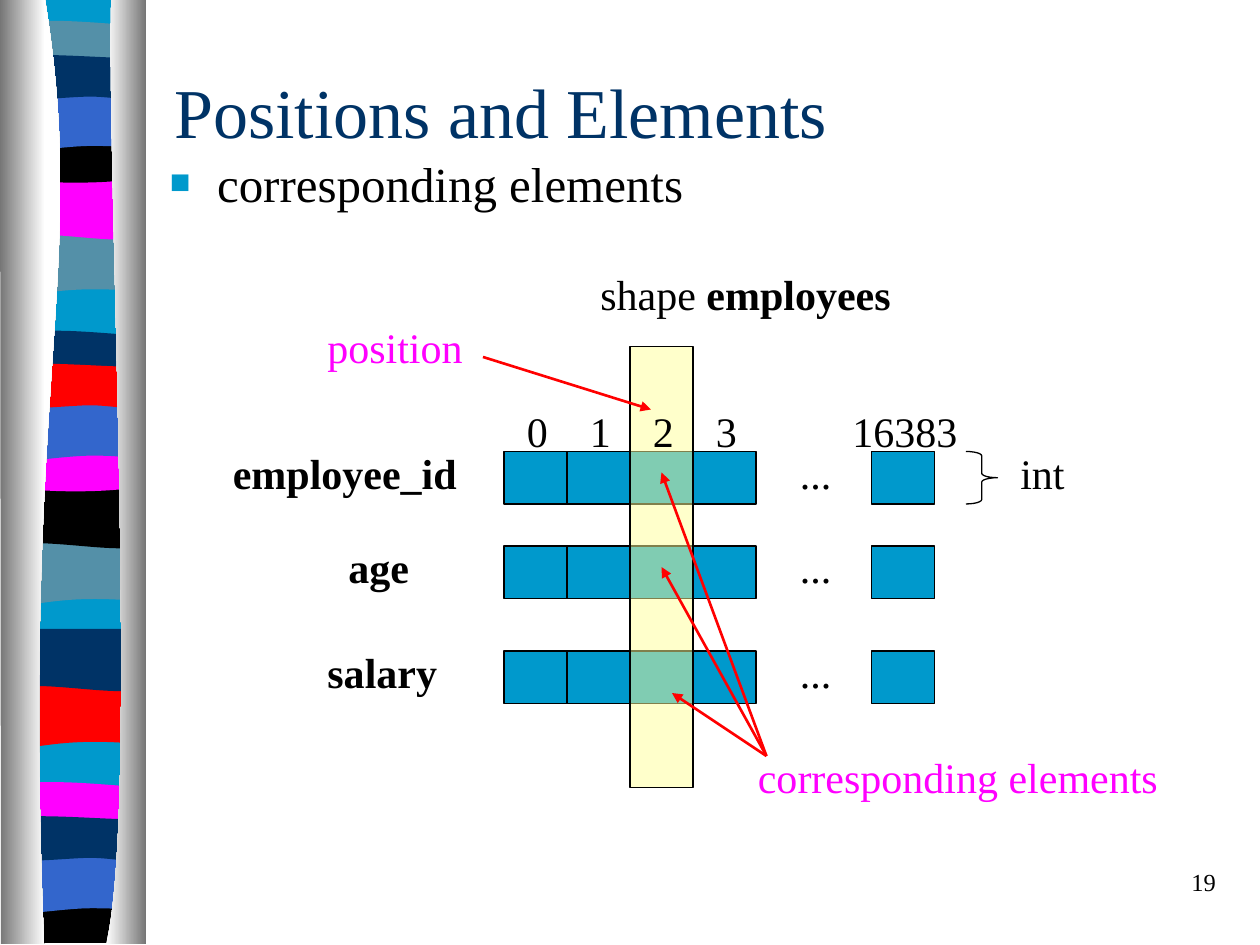
"""Build the Positions and Elements slide."""
from dataclasses import dataclass
from typing import Optional

from lxml.etree import SubElement
from pptx import Presentation
from pptx.dml.color import RGBColor
from pptx.enum.shapes import MSO_CONNECTOR as Connector, MSO_SHAPE as Preset
from pptx.enum.text import MSO_ANCHOR as Anchor, MSO_AUTO_SIZE as AutoSize, PP_ALIGN as Align
from pptx.oxml.ns import qn
from pptx.util import Pt

PX = 7620
FONT = "Times New Roman"
BLACK = RGBColor(0x00, 0x00, 0x00)
WHITE = RGBColor(0xFF, 0xFF, 0xFF)
GREY = RGBColor(0x76, 0x76, 0x76)
NAVY = RGBColor(0x00, 0x33, 0x66)
CYAN = RGBColor(0x00, 0x99, 0xCC)
TEAL = RGBColor(0x54, 0x90, 0xA8)
BLUE = RGBColor(0x33, 0x66, 0xCC)
MAGENTA = RGBColor(0xFF, 0x00, 0xFF)
RED = RGBColor(0xFF, 0x00, 0x00)
YELLOW = RGBColor(0xFF, 0xFF, 0x99)

WAVE = [(137, 0), (137, 56), (47, 47, 29, 66, 7, 56), (7, 0)]
SWELL = [(137, 0), (137, 56), (115, 66, 47, 49, 7, 56), (7, 0)]
CAP = [(137, 6), (137, 35), (115, 40, 29, 40, 7, 35), (7, 6),
       (14, 0, 35, 1, 56, 1), (78, 1, 120, 5, 137, 6)]
SAG = [(137, 0), (137, 38), (115, 46, 29, 46, 7, 38), (7, 0), (86, 6, 109, 0, 137, 0)]
ARCH = [(137, 0), (137, 56), (116, 50, 108, 50, 86, 50), (65, 50, 26, 56, 7, 56), (7, 0)]
LID = [(137, 6), (137, 43), (128, 49, 108, 43, 86, 43), (65, 43, 20, 49, 7, 43), (7, 6),
       (25, 0, 95, 6, 116, 6), (138, 6, 132, 6, 137, 6)]
FLOOR = [(137, 0), (137, 44), (7, 44), (7, 0), (86, 6, 109, 0, 137, 0)]
BACKDROP = [(137, 0), (137, 896), (7, 896), (7, 0)]
LEFT_PILLAR = [(43, 0), (85, 259, 20, 355, 42, 899), (1, 899), (0, 0)]
RIGHT_PILLAR = [(106, 0), (101, 150, 133, 775, 101, 899), (139, 899), (139, 0)]


@dataclass(frozen=True)
class Band:
    """One coloured band of the side ribbon."""
    profile: list
    top: int
    color: RGBColor


@dataclass(frozen=True)
class Row:
    """One array of the shape, with its label."""
    label: str
    label_left: int
    label_width: int
    top: int


@dataclass(frozen=True)
class Label:
    """A free-standing text label."""
    text: str
    left: int
    top: int
    width: int
    color: RGBColor = BLACK
    bold_tail: str = ""
    tabs: tuple = ()


BANDS = [
    Band(BACKDROP, 0, CYAN),
    Band(WAVE, 222, TEAL), Band(SWELL, 169, MAGENTA), Band(CAP, 19, TEAL),
    Band(SAG, 130, BLACK), Band(ARCH, 89, BLUE), Band(LID, 49, NAVY),
    Band(WAVE, 517, TEAL), Band(SWELL, 463, BLACK), Band(CAP, 314, NAVY),
    Band(SAG, 424, MAGENTA), Band(ARCH, 384, BLUE), Band(LID, 343, RED),
    Band(WAVE, 653, RED), Band(SWELL, 599, NAVY), Band(CAP, 744, MAGENTA),
    Band(FLOOR, 854, BLACK), Band(ARCH, 815, BLUE), Band(LID, 774, NAVY),
]
ROWS = [Row("employee_id", 210, 240, 430), Row("age", 320, 110, 520), Row("salary", 300, 140, 620)]
CELL_LEFTS = [480, 540, 600, 660, 830]
LABELS = [
    Label("shape ", 560, 250, 380, bold_tail="employees"),
    Label("int", 960, 420, 70),
    Label("position", 300, 300, 170, MAGENTA),
    Label("corresponding elements", 710, 710, 440, MAGENTA),
    Label("0\t1\t2\t3\t16383", 490, 380, 470, tabs=(60, 120, 180, 310)),
]
ARROWS = [(460, 340, 620, 390), (730, 720, 640, 660), (730, 720, 630, 540), (730, 720, 630, 450)]


def px(*lengths: int) -> list[int]:
    """Turn px lengths into EMU."""
    return [length * PX for length in lengths]


def write_text(shape, text: str, *, size: int = 24, color: RGBColor = BLACK, bold: bool = False,
               bold_tail: str = "", align=Align.LEFT, anchor=Anchor.TOP,
               auto_size=AutoSize.NONE, tabs: tuple = (), bullet: Optional[RGBColor] = None) -> None:
    """Fill a shape with one formatted paragraph."""
    frame = shape.text_frame
    frame.word_wrap = True
    frame.auto_size = auto_size
    frame.vertical_anchor = anchor
    paragraph = frame.paragraphs[0]
    paragraph.alignment = align
    properties = paragraph._p.get_or_add_pPr()
    if bullet is not None:
        indent = px(45)[0]
        properties.set("marL", str(indent))
        properties.set("indent", str(-indent))
        SubElement(SubElement(properties, qn("a:buClr")), qn("a:srgbClr"), val=str(bullet))
        SubElement(properties, qn("a:buSzPct"), val="70000")
        SubElement(properties, qn("a:buFont"), typeface=FONT)
        SubElement(properties, qn("a:buChar"), char="■")
    if tabs:
        tab_list = SubElement(properties, qn("a:tabLst"))
        for position in px(*tabs):
            SubElement(tab_list, qn("a:tab"), pos=str(position), algn="l")
    for content, heavy in ((text, bold), (bold_tail, True)):
        if content:
            run = paragraph.add_run()
            run.text = content
            run.font.name, run.font.size, run.font.bold = FONT, Pt(size), heavy
            run.font.color.rgb = color


def add_text(slide, text: str, left: int, top: int, width: int, height: int = 60, **text_format):
    """Add a text box."""
    box = slide.shapes.add_textbox(*px(left, top, width, height))
    write_text(box, text, **text_format)


def add_outline(slide, profile: list, top: int, *colors: RGBColor) -> None:
    """Draw a closed outline of lines and cubic curves, filled plainly or from left to right."""
    corners = [segment[-2:] for segment in profile]
    builder = slide.shapes.build_freeform(*corners[0], scale=PX)
    builder.add_line_segments(corners[1:], close=True)
    shape = builder.convert_to_shape(0, top * PX)
    left, upper = (min(corner[axis] for corner in corners) for axis in (0, 1))
    lines = list(shape._element.iter(qn("a:lnTo")))
    for line, segment in zip(lines, profile[1:]):
        if len(segment) == 6:
            curve = SubElement(line.getparent(), qn("a:cubicBezTo"))
            for x, y in zip(segment[::2], segment[1::2]):
                SubElement(curve, qn("a:pt"), x=str(x - left), y=str(y - upper))
            line.getparent().replace(line, curve)
    shape.shadow.inherit = False
    shape.line.fill.background()
    if len(colors) == 1:
        shape.fill.solid()
        shape.fill.fore_color.rgb = colors[0]
    else:
        shape.fill.gradient()
        shape.fill.gradient_angle = 0
        for stop, color in zip(shape.fill.gradient_stops, colors):
            stop.color.rgb = color


def add_preset(slide, preset, left: int, top: int, width: int, height: int,
               fill: Optional[RGBColor] = None, opacity: int = 100):
    """Draw a preset shape with a thin black line."""
    shape = slide.shapes.add_shape(preset, *px(left, top, width, height))
    shape.shadow.inherit = False
    shape.line.color.rgb = BLACK
    shape.line.width = Pt(0.75)
    if fill is None:
        shape.fill.background()
    else:
        shape.fill.solid()
        shape.fill.fore_color.rgb = fill
    if opacity < 100:
        color = shape._element.spPr.find(qn("a:solidFill")).find(qn("a:srgbClr"))
        SubElement(color, qn("a:alpha"), val=str(opacity * 1000))
    return shape


def add_arrow(slide, *ends: int) -> None:
    """Draw a red arrow."""
    arrow = slide.shapes.add_connector(Connector.STRAIGHT, *px(*ends))
    arrow.line.color.rgb = RED
    arrow.line.width = Pt(1.5)
    SubElement(arrow.line._get_or_add_ln(), qn("a:tailEnd"), type="triangle")
    SubElement(arrow._element.spPr, qn("a:effectLst"))


def main() -> None:
    """Build and save the presentation."""
    presentation = Presentation()
    presentation.slide_width, presentation.slide_height = px(1200, 900)
    slide = presentation.slides.add_slide(presentation.slide_layouts[5])
    for band in BANDS:
        add_outline(slide, band.profile, band.top, band.color)
    add_outline(slide, LEFT_PILLAR, 0, GREY, WHITE)
    add_outline(slide, RIGHT_PILLAR, 0, WHITE, GREY)
    title = slide.shapes.title
    title.left, title.top, title.width, title.height = px(154, 60, 1020, 90)
    write_text(title, "Positions and Elements", size=40, color=NAVY, anchor=Anchor.MIDDLE)
    add_text(slide, "corresponding elements", 150, 140, 1020, 650, size=28, bullet=CYAN)
    fit = AutoSize.SHAPE_TO_FIT_TEXT
    for row in ROWS:
        for left in CELL_LEFTS:
            add_preset(slide, Preset.RECTANGLE, left, row.top, 60, 50, CYAN)
        add_text(slide, "...", 750, row.top - 10, 80, auto_size=fit)
        add_text(slide, row.label, row.label_left, row.top - 10, row.label_width, bold=True,
                 auto_size=fit)
    brace = add_preset(slide, Preset.RIGHT_BRACE, 920, 430, 30, 50)
    brace.adjustments[0] = 0.14
    add_preset(slide, Preset.RECTANGLE, 600, 330, 60, 420, YELLOW, opacity=50)
    for label in LABELS:
        add_text(slide, label.text, label.left, label.top, label.width, color=label.color,
                 bold_tail=label.bold_tail, tabs=label.tabs, auto_size=fit)
    for arrow in ARROWS:
        add_arrow(slide, *arrow)
    add_text(slide, "19", 920, 820, 250, size=14, align=Align.RIGHT)
    presentation.save("out.pptx")


if __name__ == "__main__":
    main()
